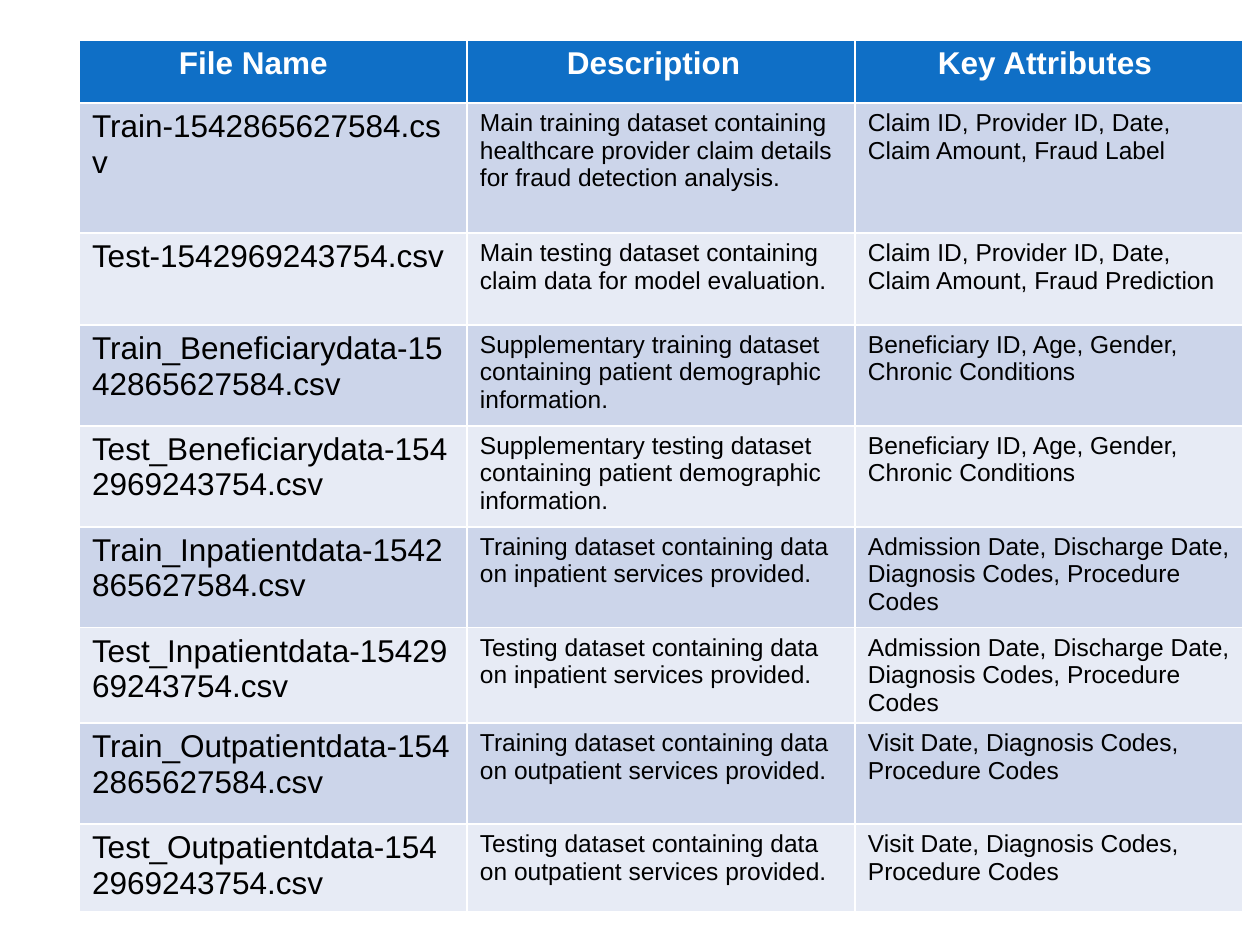
import dataclasses

import pptx
import pptx.dml.color
import pptx.util

PIXEL = pptx.util.Inches(1) // 126
COLORS = {
    "header": "0F6FC6",
    "odd_row": "CCD5EA",
    "even_row": "E7EBF5",
    "header_text": "FFFFFF",
    "body_text": "000000",
}
FONT = "Arial"
TRAIN_ID, TEST_ID = "1542865627584", "1542969243754"

# Table geometry in px
TABLE_LEFT, TABLE_TOP = 79, 40
COLUMN_WIDTH = 388
HEADER_HEIGHT = 63
CELL_MARGIN = 13


@dataclasses.dataclass
class Heading:
    text: str
    indent: int


@dataclasses.dataclass
class DataFile:
    name: str
    description: str
    attributes: str
    height: int


HEADINGS = [
    Heading("File Name", 87),
    Heading("Description", 87),
    Heading("Key Attributes", 70),
]

BENEFICIARY = "Beneficiary ID, Age, Gender, Chronic Conditions"
INPATIENT = "Admission Date, Discharge Date, Diagnosis Codes, Procedure Codes"
OUTPATIENT = "Visit Date, Diagnosis Codes, Procedure Codes"

FILES = [
    DataFile(f"Train-{TRAIN_ID}.csv",
             "Main training dataset containing healthcare provider claim details "
             "for fraud detection analysis.",
             "Claim ID, Provider ID, Date, Claim Amount, Fraud Label", 130),
    DataFile(f"Test-{TEST_ID}.csv",
             "Main testing dataset containing claim data for model evaluation.",
             "Claim ID, Provider ID, Date, Claim Amount, Fraud Prediction", 92),
    DataFile(f"Train_Beneficiarydata-{TRAIN_ID}.csv",
             "Supplementary training dataset containing patient demographic information.",
             BENEFICIARY, 101),
    DataFile(f"Test_Beneficiarydata-{TEST_ID}.csv",
             "Supplementary testing dataset containing patient demographic information.",
             BENEFICIARY, 101),
    DataFile(f"Train_Inpatientdata-{TRAIN_ID}.csv",
             "Training dataset containing data on inpatient services provided.",
             INPATIENT, 101),
    DataFile(f"Test_Inpatientdata-{TEST_ID}.csv",
             "Testing dataset containing data on inpatient services provided.",
             INPATIENT, 95),
    DataFile(f"Train_Outpatientdata-{TRAIN_ID}.csv",
             "Training dataset containing data on outpatient services provided.",
             OUTPATIENT, 101),
    DataFile(f"Test_Outpatientdata-{TEST_ID}.csv",
             "Testing dataset containing data on outpatient services provided.",
             OUTPATIENT, 88),
]


def px(length: int) -> int:
    return length * PIXEL


def color(name: str) -> pptx.dml.color.RGBColor:
    return pptx.dml.color.RGBColor.from_string(COLORS[name])


def write_cell(cell, text: str, size: int, fill: str, text_color: str,
               bold: bool = False, indent: int = 0) -> None:
    cell.fill.solid()
    cell.fill.fore_color.rgb = color(fill)
    cell.margin_left = px(CELL_MARGIN + indent)
    run = cell.text_frame.paragraphs[0].add_run()
    run.text = text
    run.font.name = FONT
    run.font.size = pptx.util.Pt(size)
    run.font.bold = bold
    run.font.color.rgb = color(text_color)


def add_file_table(slide) -> None:
    heights = [HEADER_HEIGHT] + [file.height for file in FILES]
    table = slide.shapes.add_table(
        len(heights), len(HEADINGS), px(TABLE_LEFT), px(TABLE_TOP),
        px(COLUMN_WIDTH * len(HEADINGS)), px(sum(heights))).table
    for row, height in zip(table.rows, heights):
        row.height = px(height)
    for column in table.columns:
        column.width = px(COLUMN_WIDTH)

    # Header row
    for column_index, heading in enumerate(HEADINGS):
        write_cell(table.cell(0, column_index), heading.text, 18, "header",
                   "header_text", bold=True, indent=heading.indent)

    # One banded row per file
    for row_index, file in enumerate(FILES, start=1):
        fill = "odd_row" if row_index % 2 else "even_row"
        texts = [(file.name, 18), (file.description, 14), (file.attributes, 14)]
        for column_index, (text, size) in enumerate(texts):
            write_cell(table.cell(row_index, column_index), text, size, fill, "body_text")


def main() -> None:
    presentation = pptx.Presentation()
    presentation.slide_width = px(1260)
    presentation.slide_height = px(945)
    slide = presentation.slides.add_slide(presentation.slide_layouts[6])
    add_file_table(slide)
    presentation.save("out.pptx")


if __name__ == "__main__":
    main()
